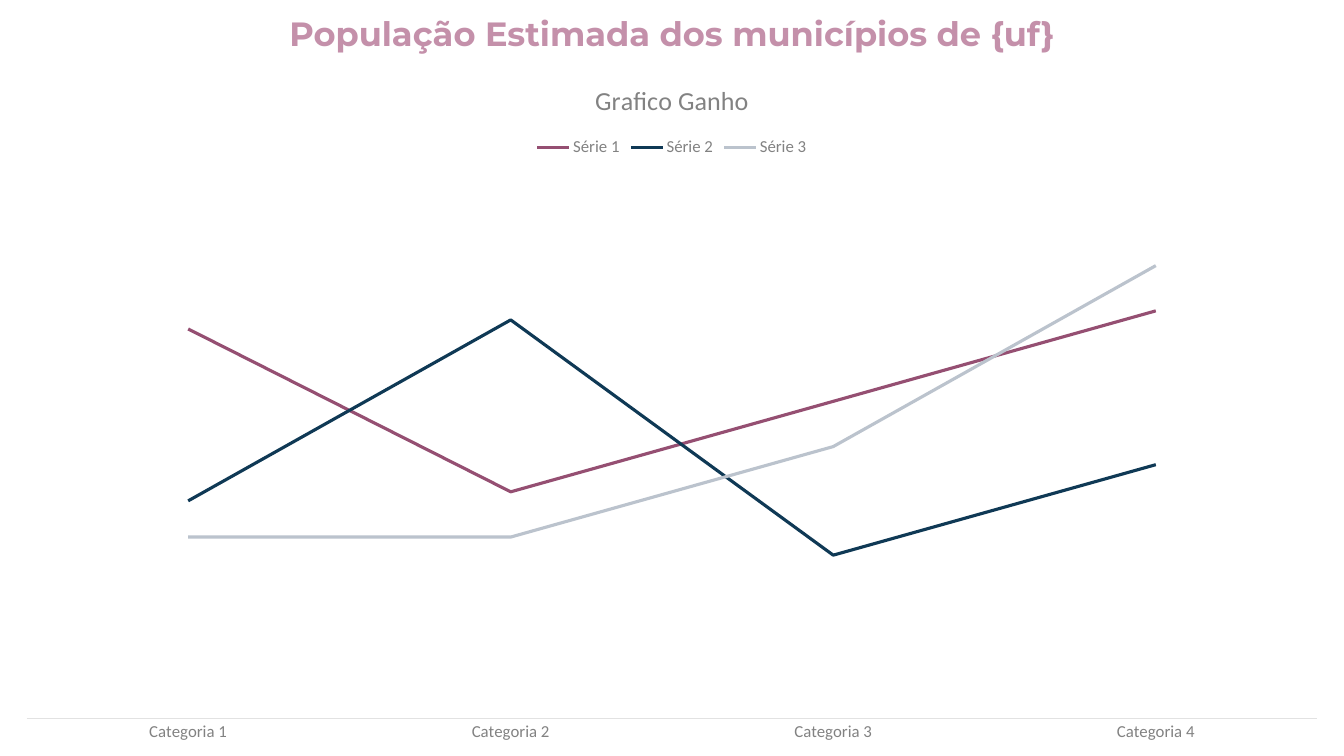
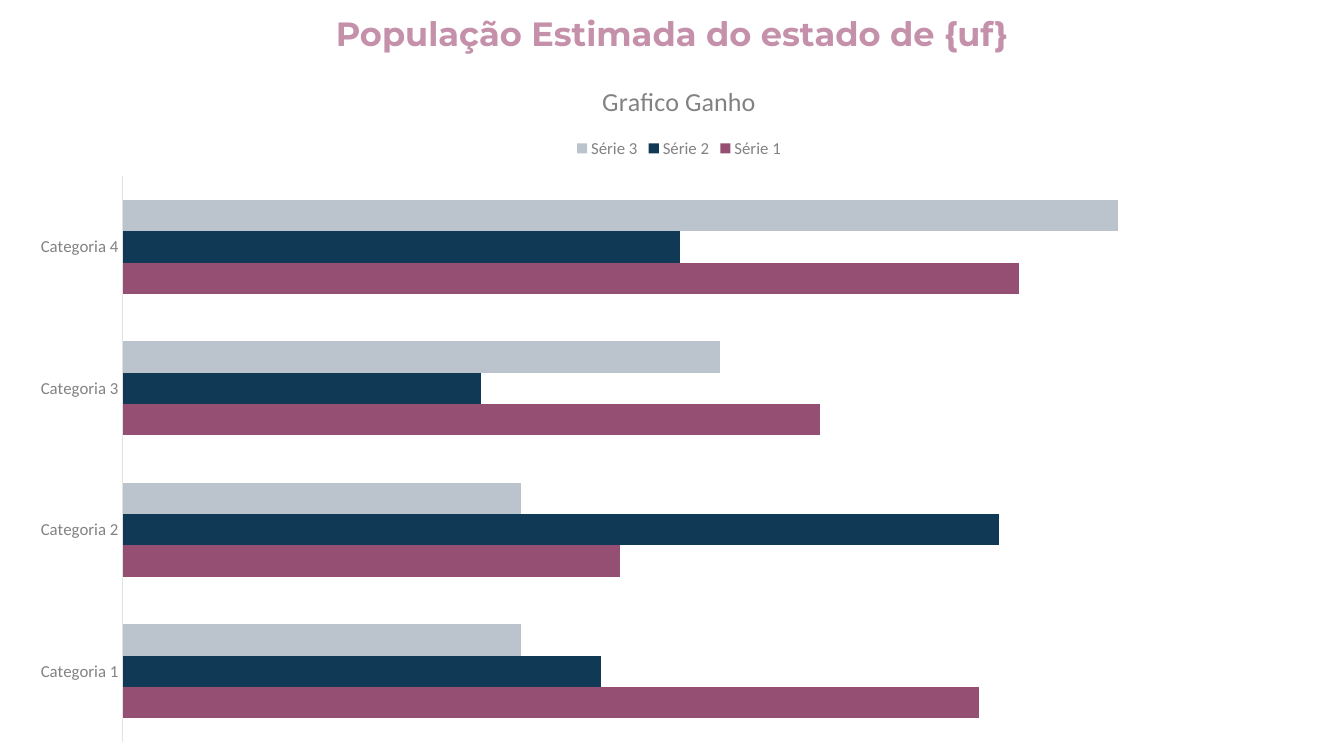
from pptx import Presentation
from pptx.chart.data import CategoryChartData
from pptx.dml.color import RGBColor
from pptx.enum import chart as ch, text
from pptx.util import Inches, Pt

# Shared style
PINK = RGBColor(0xC4, 0x90, 0xAA)
PLUM = RGBColor(0x95, 0x4F, 0x72)
NAVY = RGBColor(0x0F, 0x39, 0x55)
SILVER = RGBColor(0xBB, 0xC3, 0xCD)
GRAY = RGBColor(0x82, 0x82, 0x82)
DARK = RGBColor(0x3F, 0x3F, 0x3F)
AXIS = RGBColor(0xE2, 0xE2, 0xE2)
TITLE_FONT, CHART_FONT = "Montserrat", "Calibri"
WIDTH, HEIGHT = 13.33, 7.5

# Content
CHART_TITLE = "Grafico Ganho"
CATEGORIES = [f"Categoria {n}" for n in range(1, 5)]
SERIES = [
    ("Série 1", (86, 50, 70, 90), PLUM),
    ("Série 2", (48, 88, 36, 56), NAVY),
    ("Série 3", (40, 40, 60, 100), SILVER),
]
# title, chart type, chart left and top
SLIDES = [
    ("População Estimada dos municípios de {uf}", ch.XL_CHART_TYPE.LINE, 0, 0.58),
    ("População Estimada do estado de {uf}", ch.XL_CHART_TYPE.BAR_CLUSTERED, 0.14, 0.59),
]


def style_font(font, name, size, color, bold=False):
    font.name, font.size, font.bold = name, Pt(size), bold
    font.color.rgb = color


def add_title(s, title):
    tf = s.shapes.add_textbox(0, Inches(0.08), Inches(WIDTH), Inches(0.5)).text_frame
    tf.word_wrap = True
    tf.text = title
    p = tf.paragraphs[0]
    p.alignment = text.PP_ALIGN.CENTER
    style_font(p.runs[0].font, TITLE_FONT, 24, PINK, True)


def add_chart(s, kind, left, top):
    data = CategoryChartData()
    data.categories = CATEGORIES
    for name, values, _ in SERIES:
        data.add_series(name, values)
    chart = s.shapes.add_chart(kind, Inches(left), Inches(top), Inches(WIDTH - left),
                               Inches(HEIGHT - top), data).chart
    style_font(chart.font, CHART_FONT, 10, DARK)

    # Chart title and legend
    chart.has_title = True
    tf = chart.chart_title.text_frame
    tf.text = CHART_TITLE
    style_font(tf.paragraphs[0].runs[0].font, CHART_FONT, 18.6, GRAY)
    chart.chart_title.include_in_layout = False
    chart.has_legend = True
    chart.legend.position = ch.XL_LEGEND_POSITION.TOP
    chart.legend.include_in_layout = False
    style_font(chart.legend.font, CHART_FONT, 12, GRAY)

    # Axes
    axis = chart.category_axis
    axis.major_tick_mark = axis.minor_tick_mark = ch.XL_TICK_MARK.NONE
    axis.format.line.color.rgb = AXIS
    axis.format.line.width = Pt(0.75)
    style_font(axis.tick_labels.font, CHART_FONT, 12, GRAY)
    values = chart.value_axis
    values.has_major_gridlines = False
    values.minimum_scale, values.maximum_scale = 0, 120
    values.visible = False

    # Series
    plot = chart.plots[0]
    plot.vary_by_categories = False
    is_line = kind == ch.XL_CHART_TYPE.LINE
    if not is_line:
        plot.gap_width = 150
    for series, (_, _, color) in zip(plot.series, SERIES):
        if is_line:
            series.smooth = False
            series.marker.style = ch.XL_MARKER_STYLE.NONE
            series.format.line.color.rgb = color
            series.format.line.width = Pt(2.25)
        else:
            series.format.fill.solid()
            series.format.fill.fore_color.rgb = color


def main():
    prs = Presentation()
    prs.slide_width, prs.slide_height = Inches(WIDTH), Inches(HEIGHT)
    for title, kind, left, top in SLIDES:
        s = prs.slides.add_slide(prs.slide_layouts[6])
        add_title(s, title)
        add_chart(s, kind, left, top)
    prs.save("out.pptx")


if __name__ == "__main__":
    main()
